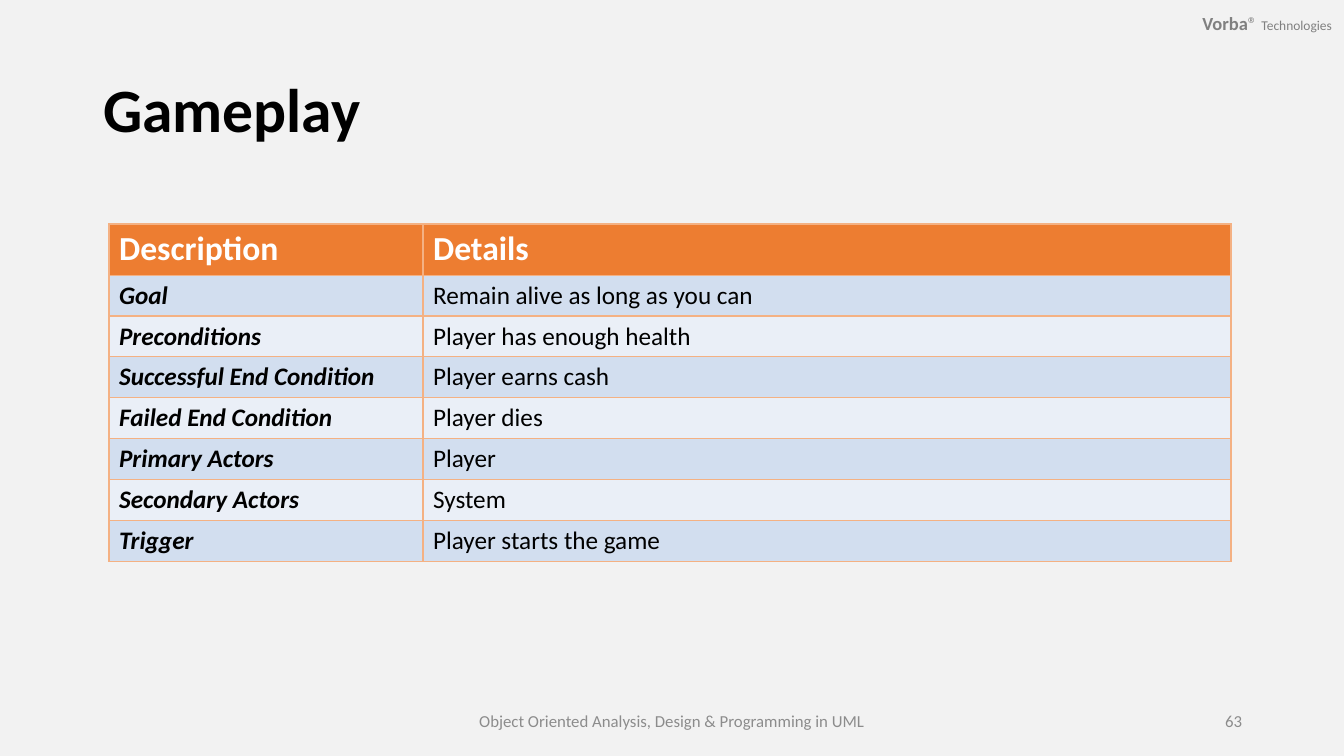
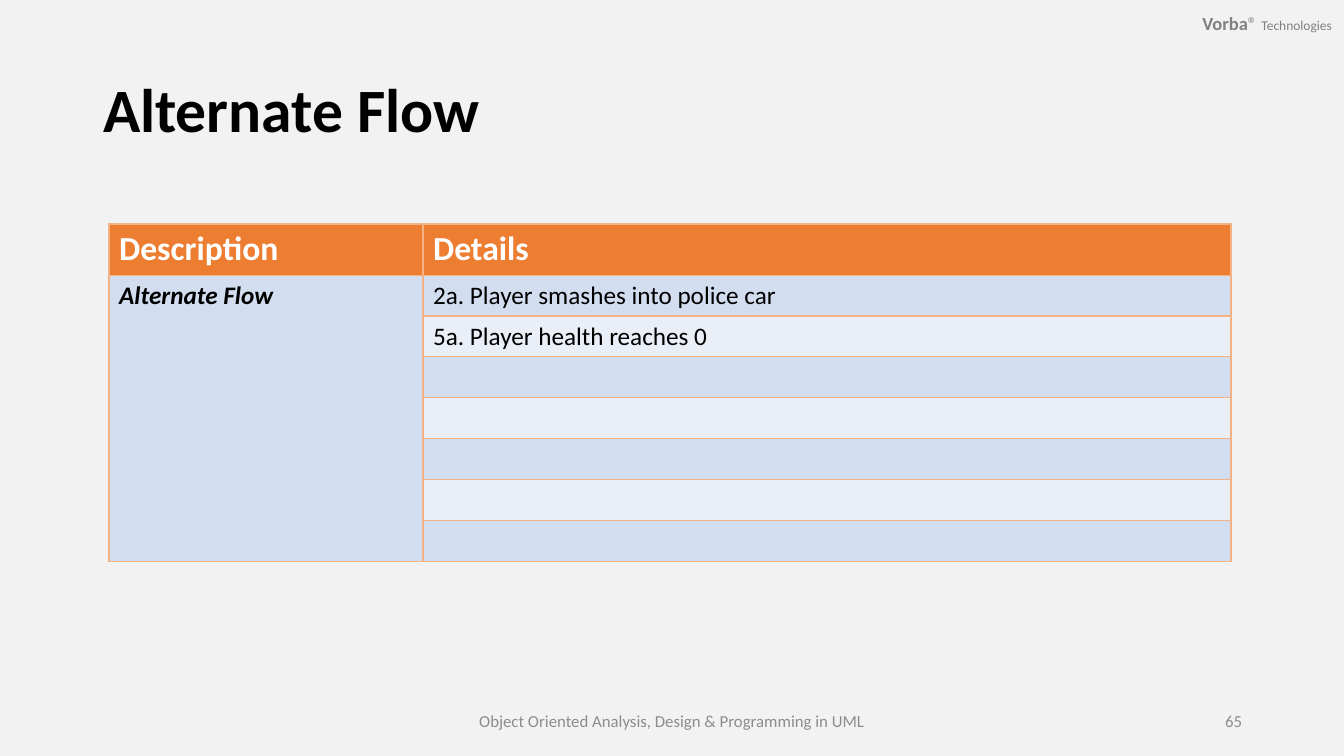
from dataclasses import dataclass

from lxml.etree import SubElement
from pptx import Presentation
from pptx.dml.color import RGBColor
from pptx.enum.text import MSO_ANCHOR as Anchor, MSO_AUTO_SIZE as AutoSize, PP_ALIGN as Align
from pptx.oxml import parse_xml
from pptx.oxml.ns import nsdecls, qn
from pptx.util import Emu, Pt

PX_PER_INCH = 100.8
FONT = "Calibri"
BACKGROUND, BLACK, WHITE = "F2F2F2", "000000", "FFFFFF"
BRAND_GREY, FOOTER_GREY = "808080", "8C8C8C"
HEADER_FILL, BORDER = "ED7D31", "F4B183"
BAND_FILLS = ("D2DEEF", "EAEFF7")
FOOTER = "Object Oriented Analysis, Design & Programming in UML"
HEADINGS = ("Description", "Details")
COLUMN_WIDTHS = (314, 808)
HEADER_HEIGHT, ROW_HEIGHT = 51, 40


@dataclass(frozen=True)
class Frame:
    left: int
    top: int
    width: int
    height: int

    def emu(self) -> tuple:
        return tuple(px(n) for n in (self.left, self.top, self.width, self.height))


@dataclass(frozen=True)
class UseCase:
    title: str
    number: int
    rows: tuple
    merge_label: bool = False


BRAND_FRAME = Frame(1150, 1, 194, 45)
TITLE_FRAME = Frame(93, 40, 1159, 146)
FOOTER_FRAME = Frame(445, 701, 454, 40)
NUMBER_FRAME = Frame(949, 701, 303, 40)
TABLE_FRAME = Frame(109, 224, sum(COLUMN_WIDTHS), HEADER_HEIGHT + 7 * ROW_HEIGHT)

USE_CASES = (
    UseCase("Gameplay", 63, (
        ("Goal", "Remain alive as long as you can"),
        ("Preconditions", "Player has enough health"),
        ("Successful End Condition", "Player earns cash"),
        ("Failed End Condition", "Player dies"),
        ("Primary Actors", "Player"),
        ("Secondary Actors", "System"),
        ("Trigger", "Player starts the game"),
    )),
    UseCase("Alternate Flow", 65, (
        ("Alternate Flow", "2a. Player smashes into police car"),
        ("", "5a. Player health reaches 0"),
        *(("", ""),) * 5,
    ), merge_label=True),
)


def px(length: int) -> Emu:
    return Emu(round(length * 914400 / PX_PER_INCH))


def rgb(value: str) -> RGBColor:
    return RGBColor.from_string(value)


def add_span(para, text: str, *, size: float, color: str = BLACK,
             bold: bool = False, italic: bool = False):
    span = para.add_run()
    span.text = text
    font = span.font
    font.name, font.size, font.bold, font.italic = FONT, Pt(size), bold, italic
    font.color.rgb = rgb(color)
    return span


def add_box(page, frame: Frame, align: Align):
    box = page.shapes.add_textbox(*frame.emu())
    text_frame = box.text_frame
    text_frame.word_wrap = True
    text_frame.vertical_anchor = Anchor.MIDDLE
    text_frame.paragraphs[0].alignment = align
    return box


def add_brand(page, layout) -> None:
    box = add_box(page, BRAND_FRAME, Align.RIGHT)
    text_frame = box.text_frame
    text_frame.margin_left = text_frame.margin_right = px(12)
    text_frame.margin_top = text_frame.margin_bottom = px(6)
    for text, size, bold in (("Vorba", 13.2, True), ("® ", 13.2, False), ("Technologies", 9.6, False)):
        span = add_span(text_frame.paragraphs[0], text, size=size, color=BRAND_GREY, bold=bold)
        span.font.fill._xPr.find(qn("a:solidFill")).addnext(parse_xml(
            f'<a:effectLst {nsdecls("a")}><a:outerShdw blurRad="38100" dist="19050" dir="2700000">'
            '<a:srgbClr val="000000"><a:alpha val="40000"/></a:srgbClr></a:outerShdw></a:effectLst>'))
    layout.shapes._spTree.append(box._element)


def set_title(page, text: str) -> None:
    title = page.shapes.title
    title.left, title.top, title.width, title.height = TITLE_FRAME.emu()
    text_frame = title.text_frame
    text_frame.auto_size = AutoSize.NONE
    text_frame.vertical_anchor = Anchor.MIDDLE
    para = text_frame.paragraphs[0]
    para.alignment, para.line_spacing = Align.LEFT, 0.9
    add_span(para, text, size=44, bold=True)


def set_borders(cell) -> None:
    properties = cell._tc.get_or_add_tcPr()
    for index, side in enumerate(("lnL", "lnR", "lnT", "lnB")):
        line = parse_xml(f'<a:{side} {nsdecls("a")} w="{Pt(1)}"/>')
        SubElement(SubElement(line, qn("a:solidFill")), qn("a:srgbClr"), val=BORDER)
        properties.insert(index, line)


def fill_cell(cell, text: str, fill: str, **style) -> None:
    cell.fill.solid()
    cell.fill.fore_color.rgb = rgb(fill)
    set_borders(cell)
    if text:
        add_span(cell.text_frame.paragraphs[0], text, **style)


def add_use_case_table(page, use_case: UseCase) -> None:
    row_count = len(use_case.rows) + 1
    table = page.shapes.add_table(row_count, len(HEADINGS), *TABLE_FRAME.emu()).table
    for column, width in zip(table.columns, COLUMN_WIDTHS):
        column.width = px(width)
    for index, row in enumerate(table.rows):
        row.height = px(ROW_HEIGHT if index else HEADER_HEIGHT)
    for column, heading in enumerate(HEADINGS):
        fill_cell(table.cell(0, column), heading, HEADER_FILL, size=24, color=WHITE, bold=True)
    for index, values in enumerate(use_case.rows):
        for column, text in enumerate(values):
            is_label = column == 0
            fill_cell(table.cell(index + 1, column), text, BAND_FILLS[index % 2],
                      size=18, bold=is_label, italic=is_label)
    if use_case.merge_label:
        table.cell(1, 0).merge(table.cell(row_count - 1, 0))


def add_footer(page, number: int) -> None:
    for frame, text, align in ((FOOTER_FRAME, FOOTER, Align.CENTER),
                               (NUMBER_FRAME, str(number), Align.RIGHT)):
        box = add_box(page, frame, align)
        add_span(box.text_frame.paragraphs[0], text, size=12, color=FOOTER_GREY)


def main() -> None:
    deck = Presentation()
    deck.slide_width, deck.slide_height = px(1344), px(756)
    background = deck.slide_master.background.fill
    background.solid()
    background.fore_color.rgb = rgb(BACKGROUND)
    layout = deck.slide_layouts.get_by_name("Title Only")
    pages = [deck.slides.add_slide(layout) for _ in USE_CASES]
    add_brand(pages[0], layout)
    for page, use_case in zip(pages, USE_CASES):
        set_title(page, use_case.title)
        add_use_case_table(page, use_case)
        add_footer(page, use_case.number)
    deck.save("out.pptx")


if __name__ == "__main__":
    main()
